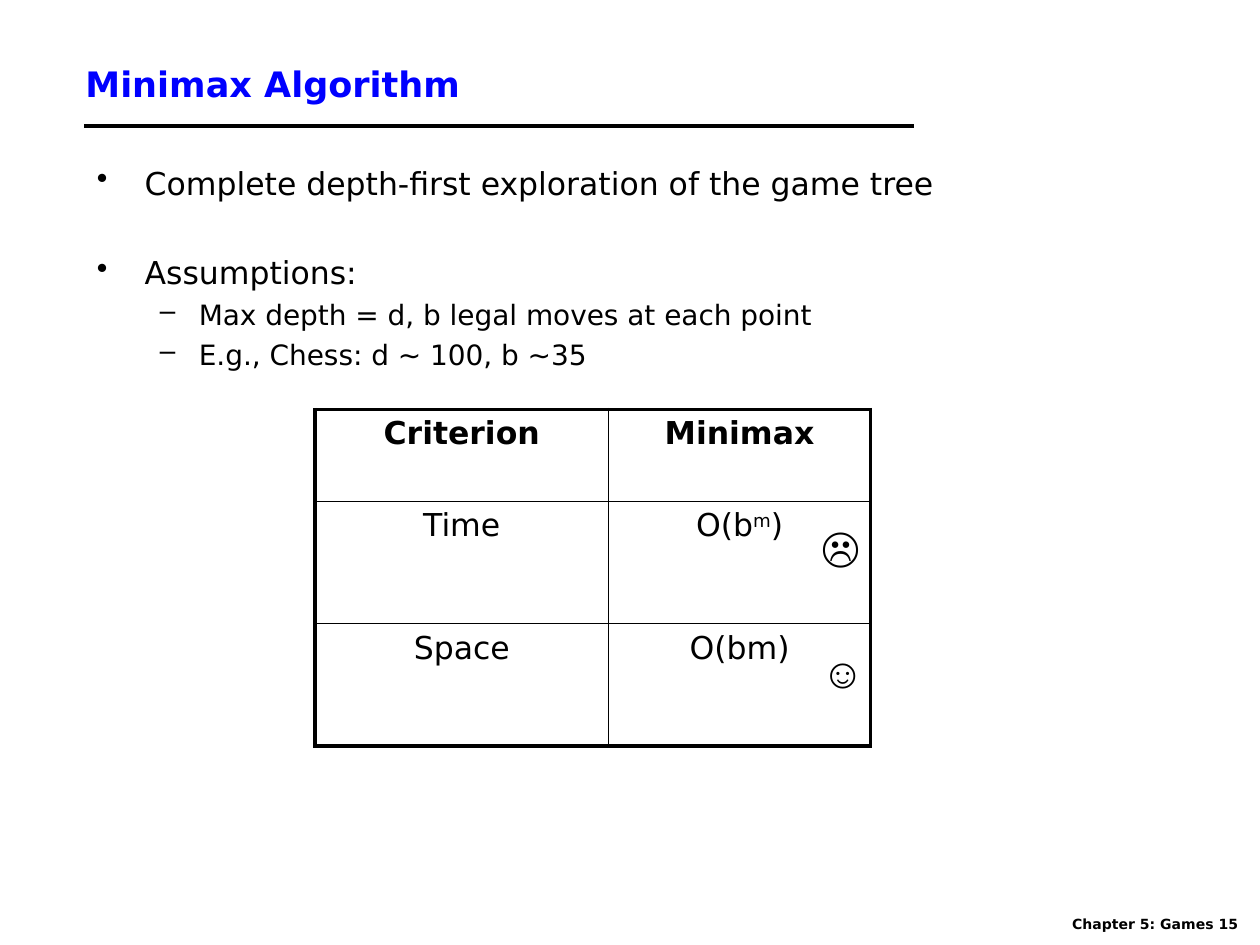
import lxml.etree
import pptx
import pptx.dml.color
import pptx.enum.shapes
import pptx.enum.text
import pptx.oxml.ns
import pptx.util
from pptx.util import Inches

BLACK = pptx.dml.color.RGBColor(0x00, 0x00, 0x00)
BLUE = pptx.dml.color.RGBColor(0x00, 0x00, 0xFF)
SANS = "DejaVu Sans"
SERIF = "Times New Roman"
THIN, THICK = 1, 2.25


def add_element(parent, tag, **attributes):
    return lxml.etree.SubElement(parent, pptx.oxml.ns.qn(tag), attributes)


def format_runs(paragraph, size, color=BLACK, bold=False, name=SANS):
    for run in paragraph.runs:
        run.font.size = pptx.util.Pt(size)
        run.font.color.rgb = color
        run.font.bold = bold
        run.font.name = name


def add_text(slide, box, text, size, wrap=True, **font):
    text_frame = slide.shapes.add_textbox(*box).text_frame
    text_frame.word_wrap = wrap
    text_frame.text = text
    format_runs(text_frame.paragraphs[0], size, **font)
    return text_frame


def add_title(slide, box):
    text_frame = add_text(slide, box, "Minimax Algorithm", 20, color=BLUE, bold=True)
    text_frame.vertical_anchor = pptx.enum.text.MSO_ANCHOR.MIDDLE


def add_rule(slide, left, top, width):
    rule = slide.shapes.add_connector(
        pptx.enum.shapes.MSO_CONNECTOR.STRAIGHT, left, top, left + width, top)
    rule.line.color.rgb = BLACK
    rule.line.width = pptx.util.Pt(THICK)
    add_element(rule.element.spPr, "a:effectLst")


def add_bullets(slide, box):
    # text, level, space before in points
    bullets = [
        ("Complete depth-first exploration of the game tree", 0, 1.5),
        ("Assumptions:", 0, 29.3),
        ("Max depth = d, b legal moves at each point", 1, 3.7),
        ("E.g., Chess: d ~ 100, b ~35", 1, 3.7),
    ]
    # bullet, size, left margin, hanging indent
    levels = [("•", 18, 0.38, 0.38), ("–", 16, 0.81, 0.31)]
    text_frame = slide.shapes.add_textbox(*box).text_frame
    text_frame.word_wrap = True
    for index, (text, level, space) in enumerate(bullets):
        bullet, size, margin, hanging = levels[level]
        paragraph = text_frame.add_paragraph() if index else text_frame.paragraphs[0]
        paragraph.text = text
        paragraph.level = level
        paragraph.space_before = pptx.util.Pt(space)
        format_runs(paragraph, size)
        properties = paragraph._p.get_or_add_pPr()
        properties.set("marL", str(Inches(margin)))
        properties.set("indent", str(-Inches(hanging)))
        add_element(properties, "a:buChar", char=bullet)


def set_borders(cell, widths):
    """Draw black borders of the given point widths: left, right, top, bottom."""
    properties = cell._tc.get_or_add_tcPr()
    for side, width in zip("LRTB", widths):
        line = add_element(properties, f"a:ln{side}", w=str(pptx.util.Pt(width)))
        fill = add_element(line, "a:solidFill")
        add_element(fill, "a:srgbClr", val=str(BLACK))


def add_criteria_table(slide, box):
    # each cell is a list of runs; every second run is a superscript
    rows = [
        [["Criterion"], ["Minimax"]],
        [["Time"], ["O(b", "m", ")"]],
        [["Space"], ["O(bm)"]],
    ]
    table = slide.shapes.add_table(len(rows), 2, *box).table
    table.first_row = table.horz_banding = False
    for column, width in zip(table.columns, (2.33, 2.08)):
        column.width = Inches(width)
    for row, height in zip(table.rows, (0.73, 0.97, 0.97)):
        row.height = Inches(height)
    for row_index, row in enumerate(rows):
        for column_index, parts in enumerate(row):
            cell = table.cell(row_index, column_index)
            paragraph = cell.text_frame.paragraphs[0]
            paragraph.alignment = pptx.enum.text.PP_ALIGN.CENTER
            for part_index, part in enumerate(parts):
                run = paragraph.add_run()
                run.text = part
                if part_index % 2:
                    run.font._element.set("baseline", "30000")
            format_runs(paragraph, 18, bold=row_index == 0)
            outer = (column_index == 0, column_index == 1,
                     row_index == 0, row_index == len(rows) - 1)
            set_borders(cell, [THICK if edge else THIN for edge in outer])
            cell.fill.background()


def add_faces(slide, left, top, gap):
    for index, face in enumerate("☹☺"):
        box = (left, top + index * gap, Inches(0.48), Inches(0.5))
        add_text(slide, box, face, 24, wrap=face == "☹", name=SERIF)


def add_footer(slide, box):
    add_text(slide, box, "Chapter 5: Games 15", 8, wrap=False, bold=True)


def main():
    presentation = pptx.Presentation()
    presentation.slide_width = Inches(10)
    presentation.slide_height = Inches(7.5)
    slide = presentation.slides.add_slide(presentation.slide_layouts[6])
    add_footer(slide, (Inches(8.41), Inches(7.22), Inches(1.59), Inches(0.23)))
    add_rule(slide, Inches(0.67), Inches(1), Inches(6.58))
    add_title(slide, (Inches(0.58), Inches(0.33), Inches(8.5), Inches(0.67)))
    add_bullets(slide, (Inches(0.67), Inches(1.25), Inches(8.58), Inches(5.5)))
    add_criteria_table(slide, (Inches(2.5), Inches(3.25), Inches(4.42), Inches(2.67)))
    add_faces(slide, Inches(6.42), Inches(4.08), Inches(1))
    presentation.save("out.pptx")


if __name__ == "__main__":
    main()
